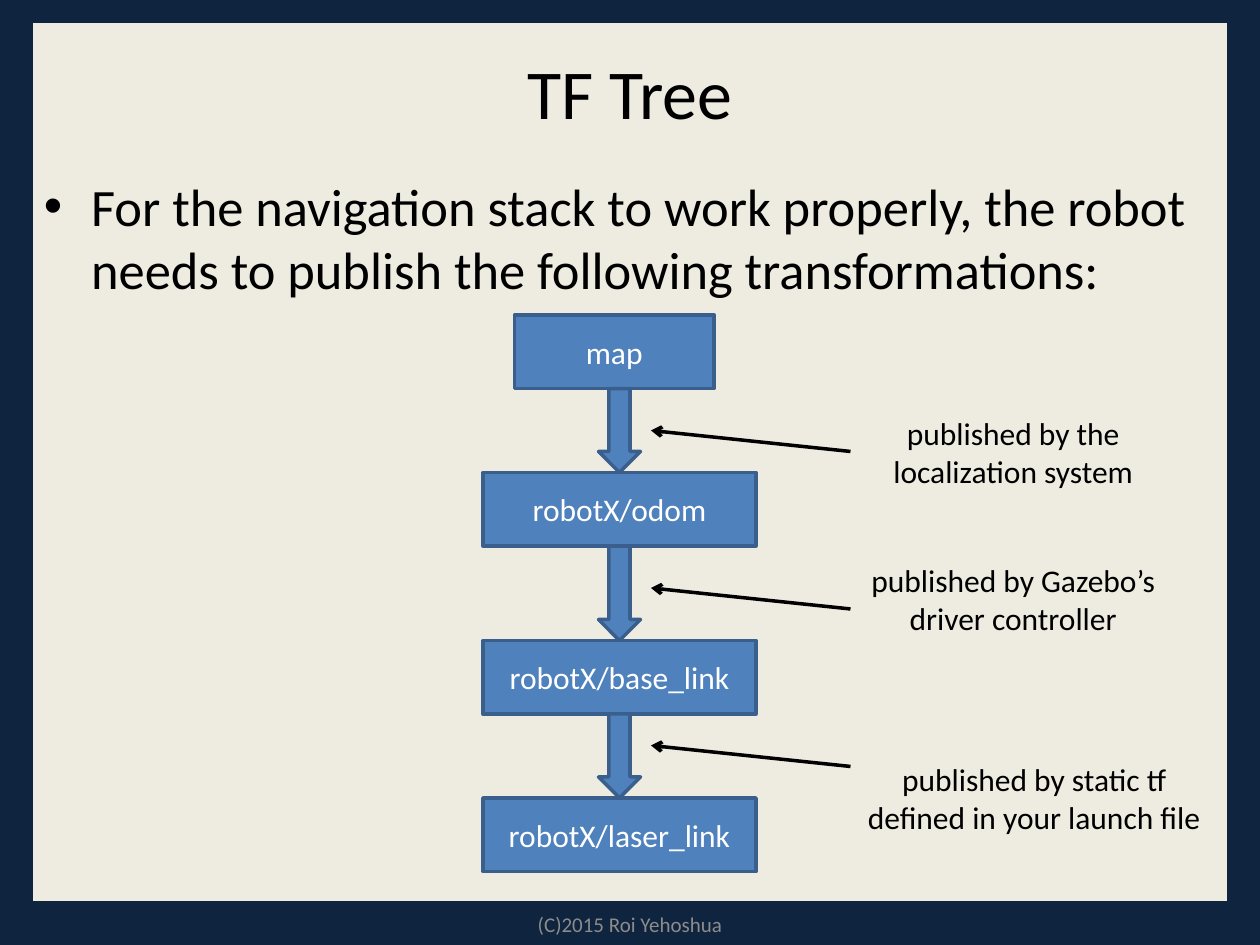
from pptx import Presentation
from pptx.dml.color import RGBColor
from pptx.enum.shapes import MSO_CONNECTOR, MSO_SHAPE
from pptx.enum.text import MSO_ANCHOR, PP_ALIGN
from pptx.oxml.ns import qn
from pptx.util import Pt
from lxml.etree import SubElement

PX = 7620  # 120 px to the inch
COLORS = {name: RGBColor.from_string(value) for name, value in {
    "navy": "0F243E", "cream": "EEECE1", "blue": "4F81BD", "edge": "3A5F8C",
    "black": "000000", "white": "FFFFFF", "grey": "8C8C8C"}.items()}


def add_block(kind, left, top, width, height, fill, line):
    shape = slide.shapes.add_shape(kind, left * PX, top * PX, width * PX, height * PX)
    shape.shadow.inherit = False
    shape.fill.solid()
    shape.fill.fore_color.rgb = COLORS[fill]
    shape.line.color.rgb = COLORS[line]
    shape.line.width = Pt(2)
    return shape


def write(shape, text, size, color, align=PP_ALIGN.CENTER, anchor=MSO_ANCHOR.MIDDLE):
    text_frame = shape.text_frame
    text_frame.word_wrap = True
    text_frame.vertical_anchor = anchor
    text_frame.text = text
    paragraph = text_frame.paragraphs[0]
    paragraph.alignment = align
    font = paragraph.runs[0].font
    font.name = "Calibri"
    font.size = Pt(size)
    font.color.rgb = COLORS[color]
    return paragraph


presentation = Presentation()
presentation.slide_width = 1200 * PX
presentation.slide_height = 900 * PX
slide = presentation.slides.add_slide(presentation.slide_layouts[6])

# Background and panel
slide.background.fill.solid()
slide.background.fill.fore_color.rgb = COLORS["navy"]
add_block(MSO_SHAPE.RECTANGLE, 30, 20, 1140, 840, "cream", "navy")

# Title, bullet and footer
title = slide.shapes.add_textbox(30 * PX, 25 * PX, 1140 * PX, 125 * PX)
write(title, "TF Tree", 40, "black")

body = slide.shapes.add_textbox(30 * PX, 160 * PX, 1140 * PX, 703 * PX)
bullet = write(body, "For the navigation stack to work properly, the robot needs to "
               "publish the following transformations:", 30, "black",
               PP_ALIGN.LEFT, MSO_ANCHOR.TOP)
properties = bullet._p.get_or_add_pPr()
properties.set("marL", str(45 * PX))
properties.set("indent", str(-45 * PX))
SubElement(properties, qn("a:buFont"), typeface="Arial")
SubElement(properties, qn("a:buChar"), char="•")

footer = slide.shapes.add_textbox(410 * PX, 860 * PX, 380 * PX, 40 * PX)
write(footer, "(C)2015 Roi Yehoshua", 12, "grey")

# Frames of the tree: name, left, top, width
FRAME_HEIGHT = 70
frames = [("map", 490, 300, 190), ("robotX/odom", 460, 450, 260),
          ("robotX/base_link", 460, 610, 260), ("robotX/laser_link", 460, 760, 260)]
for name, left, top, width in frames:
    frame = add_block(MSO_SHAPE.RECTANGLE, left, top, width, FRAME_HEIGHT, "blue", "edge")
    write(frame, name, 18, "white")

# Block arrows filling the gaps between frames
for upper, lower in zip(frames, frames[1:]):
    start = upper[2] + FRAME_HEIGHT
    add_block(MSO_SHAPE.DOWN_ARROW, 570, start, 40, lower[2] - start, "blue", "edge")

# Publisher notes with pointers: text, top, width
notes = [("published by the localization system", 390, 310),
         ("published by Gazebo’s driver controller", 530, 310),
         ("published by static tf defined in your launch file", 720, 350)]
for index, (text, top, width) in enumerate(notes):
    note = slide.shapes.add_textbox(810 * PX, top * PX, width * PX, 80 * PX)
    write(note, text, 18, "black")

    start = 430 + 150 * index
    pointer = slide.shapes.add_connector(MSO_CONNECTOR.STRAIGHT, 810 * PX, start * PX,
                                         620 * PX, (start - 20) * PX)
    if start == top + 40:
        pointer.begin_connect(note, 1)
    pointer.line.color.rgb = COLORS["black"]
    pointer.line.width = Pt(2)
    SubElement(pointer.line._get_or_add_ln(), qn("a:tailEnd"), type="arrow")
    SubElement(pointer._element.spPr, qn("a:effectLst"))

presentation.save("out.pptx")
